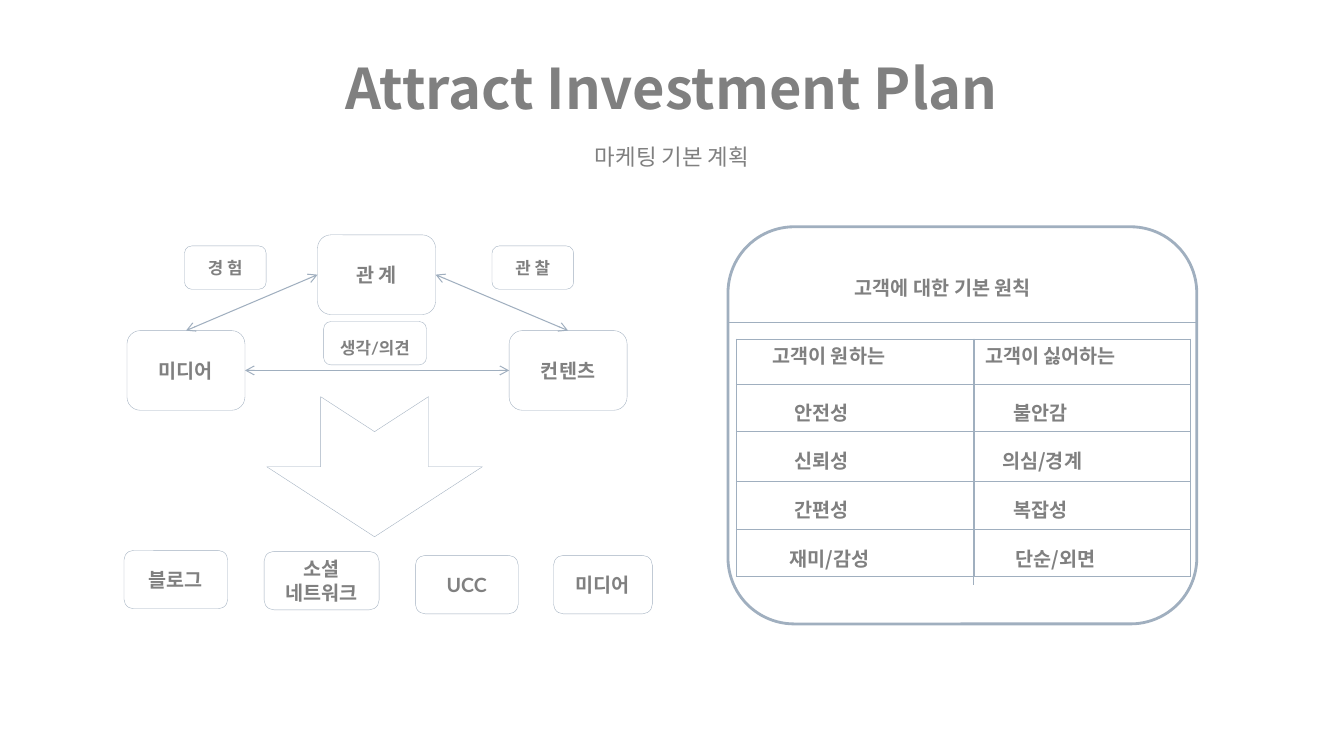
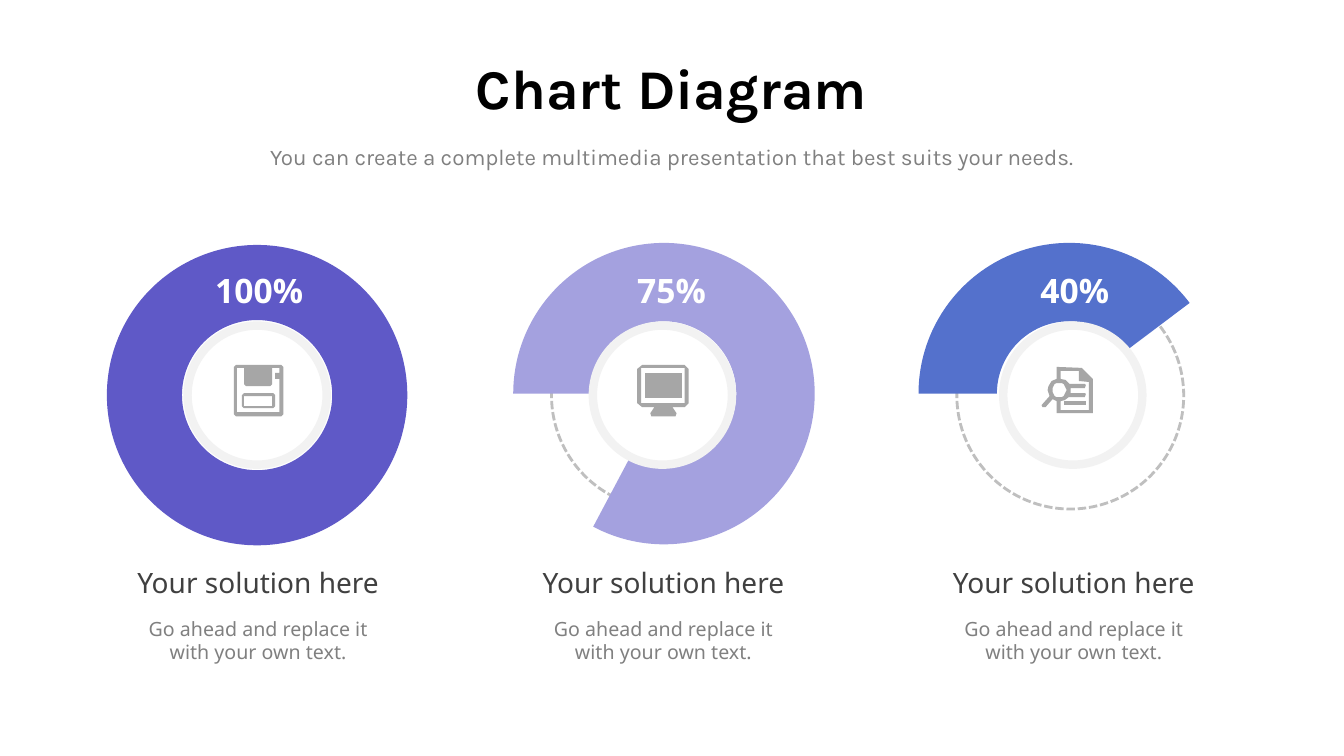
import dataclasses
import math
import typing

import lxml.etree
import pptx
import pptx.dml.color
import pptx.enum.dml
import pptx.enum.shapes
import pptx.enum.text
import pptx.oxml.ns
import pptx.util

PX = 9144  # EMU per px, 100 px to the inch
COLORS = {
    "text": "808080", "line": "A0AFBF", "title": "000000", "heading": "404040",
    "white": "FFFFFF", "rim": "F2F2F2", "dash": "BFBFBF", "icon": "A6A6A6",
    "violet": "5F59C7", "lilac": "A4A1DF", "blue": "5471CC",
}
KOREAN, LATO, KARLA, NOTO = "Noto Sans CJK KR", "Lato", "Karla", "Noto Sans"
SHAPE = pptx.enum.shapes.MSO_SHAPE
ALIGN = pptx.enum.text.PP_ALIGN
ANCHOR = pptx.enum.text.MSO_ANCHOR
TOP, LEFT, BOTTOM, RIGHT = range(4)
Points = list[tuple[float, float]]


@dataclasses.dataclass
class Style:
    size: int
    color: str = "text"
    name: str = KOREAN
    bold: bool = False
    align: typing.Any = ALIGN.CENTER
    anchor: typing.Any = ANCHOR.TOP
    spacing: float = 1.0


@dataclasses.dataclass
class Box:
    text: str
    x: int
    y: int
    w: int
    h: int
    size: int = 14
    spacing: float = 1.0


@dataclasses.dataclass
class Gauge:
    percent: str
    color: str
    ring_x: int
    hub_x: int
    percent_x: int
    caption_x: int
    end_angle: typing.Optional[int]
    icon: list[list[Points]]


def rgb(key: str):
    return pptx.dml.color.RGBColor.from_string(COLORS[key])


def px(*values: float) -> list[int]:
    return [round(v * PX) for v in values]


def child(parent, tag: str, **attrs: str):
    return lxml.etree.SubElement(parent, pptx.oxml.ns.qn(tag), **attrs)


def write(tf, text: str, st: Style) -> None:
    tf.word_wrap = True
    tf.vertical_anchor = st.anchor
    for i, line in enumerate(text.split("\n")):
        p = tf.add_paragraph() if i else tf.paragraphs[0]
        p.alignment, p.line_spacing = st.align, st.spacing
        r = p.add_run()
        r.text = line
        fmt = {"size": pptx.util.Pt(st.size), "name": st.name, "bold": st.bold}
        for key, value in fmt.items():
            setattr(r.font, key, value)
        r.font.color.rgb = rgb(st.color)
        child(r.font._element, "a:ea", typeface=KOREAN)


def add_text(s, text: str, x: int, y: int, w: int, h: int, st: Style) -> None:
    write(s.shapes.add_textbox(*px(x, y, w, h)).text_frame, text, st)


def paint(sp, fill: str = "", line: str = "", width: float = 0.25):
    """Give a shape its fill and outline; an empty colour means none."""
    sp.shadow.inherit = False
    if fill:
        sp.fill.solid()
        sp.fill.fore_color.rgb = rgb(fill)
    else:
        sp.fill.background()
    if line:
        sp.line.color.rgb = rgb(line)
        sp.line.width = pptx.util.Pt(width)
    else:
        sp.line.fill.background()
    return sp


def add_shape(s, kind, x: int, y: int, w: int, h: int, **look):
    return paint(s.shapes.add_shape(kind, *px(x, y, w, h)), **look)


def add_box(s, box: Box):
    sp = add_shape(s, SHAPE.ROUNDED_RECTANGLE, box.x, box.y, box.w, box.h, line="line")
    tf = sp.text_frame
    tf.margin_left = tf.margin_right = 0
    write(tf, box.text, Style(box.size, name=LATO, bold=True,
                              anchor=ANCHOR.MIDDLE, spacing=box.spacing))
    return sp


def add_line(s, x1: int = 0, y1: int = 0, x2: int = 0, y2: int = 0):
    kind = pptx.enum.shapes.MSO_CONNECTOR.STRAIGHT
    cx = s.shapes.add_connector(kind, *px(x1, y1, x2, y2))
    cx.line.color.rgb = rgb("line")
    cx.line.width = pptx.util.Pt(0.75)
    child(cx._element.spPr, "a:effectLst")
    return cx


def join(s, a, a_side: int, b, b_side: int) -> None:
    """Link two boxes with a double-headed arrow."""
    cx = add_line(s)
    cx.begin_connect(a, a_side)
    cx.end_connect(b, b_side)
    ln = cx.line._get_or_add_ln()
    child(ln, "a:headEnd", type="arrow")
    child(ln, "a:tailEnd", type="arrow")


def add_heading(s, title: str, subtitle: str, font: str, color: str) -> None:
    add_text(s, title, 88, 36, 1156, 100,
             Style(40, color, font, bold=True, anchor=ANCHOR.MIDDLE))
    add_text(s, subtitle, 88, 137, 1157, 41, Style(16, name=font))


MEDIA = Box("미디어", 126, 328, 117, 79)
RELATION = Box("관 계", 315, 233, 117, 79)
CONTENT = Box("컨텐츠", 505, 328, 117, 79)
LABELS = [
    Box("블로그", 123, 546, 103, 58),
    Box("소셜\n네트워크", 262, 547, 114, 58),
    Box("UCC", 412, 551, 102, 58),
    Box("미디어", 549, 551, 98, 58),
    Box("생각/의견", 321, 319, 102, 43, 12, 1.5),
    Box("경 험", 183, 244, 81, 43, 12),
    Box("관 찰", 488, 244, 81, 43, 12),
]
COLUMN_WIDTHS = [236, 214]
# row height, text offset from the row top, then (text, indent) per column
ROWS = [
    (45, 2, [("고객이 원하는", 36), ("고객이 싫어하는", 11)]),
    (47, 14, [("안전성", 58), ("불안감", 39)]),
    (49, 14, [("신뢰성", 58), ("의심/경계", 28)]),
    (48, 14, [("간편성", 58), ("복잡성", 39)]),
    (47, 14, [("재미/감성", 53), ("단순/외면", 41)]),
]


def add_principles(s) -> None:
    height = sum(row[0] for row in ROWS)
    frame = s.shapes.add_table(len(ROWS), len(COLUMN_WIDTHS),
                               *px(730, 336, sum(COLUMN_WIDTHS), height))
    table = frame.table
    table.first_row = table.horz_banding = False
    for column, width in zip(table.columns, COLUMN_WIDTHS):
        column.width = width * PX
    for i, (row_height, offset, entries) in enumerate(ROWS):
        table.rows[i].height = row_height * PX
        for j, (text, indent) in enumerate(entries):
            cell = table.cell(i, j)
            margins = {"left": indent, "top": offset, "right": 0, "bottom": 0}
            for side, margin in margins.items():
                setattr(cell, "margin_" + side, margin * PX)
            write(cell.text_frame, text, Style(14, bold=True, align=ALIGN.LEFT))
            tc_pr = cell._tc.get_or_add_tcPr()
            for edge in "LRTB":
                ln = child(tc_pr, "a:ln" + edge, w="3175")
                child(child(ln, "a:solidFill"), "a:srgbClr", val=COLORS["line"])
            cell.fill.background()


def build_plan(s) -> None:
    add_heading(s, "Attract Investment Plan", "마케팅 기본 계획", KOREAN, "text")
    add_shape(s, SHAPE.ROUNDED_RECTANGLE, 722, 225, 465, 394, line="line", width=2)
    add_text(s, "고객에 대한 기본 원칙", 838, 262, 285, 46,
             Style(14, bold=True, align=ALIGN.LEFT, anchor=ANCHOR.MIDDLE))
    add_principles(s)
    add_line(s, 722, 320, 1186, 320)
    add_line(s, 966, 336, 966, 580)

    media, relation, content = [add_box(s, b) for b in (MEDIA, RELATION, CONTENT)]
    join(s, media, RIGHT, content, LEFT)
    join(s, relation, RIGHT, content, TOP)
    join(s, media, TOP, relation, LEFT)
    arrow = add_shape(s, SHAPE.NOTCHED_RIGHT_ARROW, 302, 356, 139, 214, line="line")
    arrow.rotation = 90
    for box in LABELS:
        add_box(s, box)


def rect(x: int, y: int, w: int, h: int) -> Points:
    return [(x, y), (x + w, y), (x + w, y + h), (x, y + h)]


def chamfer(x: int, y: int, w: int, h: int, c: int) -> Points:
    """Outline of a rectangle with its corners cut by c."""
    r, b = x + w, y + h
    return [(x + c, y), (r - c, y), (r, y + c), (r, b - c),
            (r - c, b), (x + c, b), (x, b - c), (x, y + c)]


def circle(cx: float, cy: float, radius: float, steps: int = 20) -> Points:
    turns = [2 * math.pi * i / steps for i in range(steps)]
    return [(cx + radius * math.cos(t), cy + radius * math.sin(t)) for t in turns]


# Each icon is a list of freeforms, each freeform an outline followed by its holes
DISK = [
    [chamfer(232, 362, 49, 51, 2),
     [(277, 376), (277, 409), (235, 409), (235, 365), (242, 365), (242, 381),
      (244, 383), (268, 383), (270, 381), (270, 365), (277, 365), (277, 370),
      (273, 370), (273, 376)]],
    [chamfer(240, 390, 33, 15, 2), rect(242, 393, 28, 10)],
]
MONITOR = [
    [rect(640, 370, 36, 25)],
    [[(637, 404), (649, 404), (645, 410), (646, 413), (670, 413), (671, 410),
      (667, 404), (679, 404), (683, 400), (683, 366), (679, 362), (637, 362),
      (632, 366), (632, 400)],
     rect(636, 365, 43, 35)],
]
SEARCH = [
    [rect(1055, 398, 22, 4)],
    [[(1037, 404), (1044, 396), (1048, 398), (1048, 410), (1084, 410), (1084, 376),
      (1073, 365), (1048, 364), (1048, 376), (1043, 378), (1040, 383), (1039, 387),
      (1041, 393), (1033, 402), (1034, 404)],
     [(1052, 368), (1070, 368), (1070, 378), (1080, 379), (1080, 407), (1052, 407),
      (1052, 398), (1056, 397), (1060, 394), (1076, 394), (1077, 391), (1076, 390),
      (1062, 390), (1062, 385), (1076, 385), (1077, 382), (1076, 381), (1061, 381),
      (1057, 377), (1052, 376)],
     circle(1050.5, 387, 7)],
]
GAUGES = [
    Gauge("100%", "violet", 106, 186, 170, 87, None, DISK),
    Gauge("75%", "lilac", 509, 588, 579, 489, 118, MONITOR),
    Gauge("40%", "blue", 911, 995, 979, 896, 323, SEARCH),
]


def add_outline(s, contours: list[Points]) -> None:
    builder = s.shapes.build_freeform(*contours[0][0], scale=PX)
    for i, points in enumerate(contours):
        if i:
            builder.move_to(*points[0])
        builder.add_line_segments(points[1:], close=True)
    paint(builder.convert_to_shape(), fill="icon")


def add_gauge(s, g: Gauge) -> None:
    if g.end_angle is None:
        add_shape(s, SHAPE.DONUT, g.ring_x, 243, 298, 298, fill=g.color)
    else:
        track = add_shape(s, SHAPE.OVAL, g.ring_x + 38, 280, 225, 225,
                          line="dash", width=2)
        track.line.dash_style = pptx.enum.dml.MSO_LINE.SQUARE_DOT
        arc = add_shape(s, SHAPE.BLOCK_ARC, g.ring_x, 241, 299, 299, fill=g.color)
        # angles are stored in units of 5/3 degree
        for i, value in enumerate((180 * 0.6, g.end_angle * 0.6, 0.26)):
            arc.adjustments[i] = value
    add_shape(s, SHAPE.OVAL, g.hub_x, 323, 138, 138, fill="white", line="rim", width=6)
    add_text(s, g.percent, g.percent_x, 263, 174, 50, Style(24, "white", NOTO, bold=True))
    for contours in g.icon:
        add_outline(s, contours)
    add_text(s, "Your solution here", g.caption_x, 556, 338, 44,
             Style(20, "heading", NOTO))
    add_text(s, "Go ahead and replace it with your own text.",
             g.caption_x + 33, 607, 272, 57, Style(14, name=NOTO))


def build_chart(s) -> None:
    add_heading(s, "Chart Diagram", "You can create a complete multimedia presentation "
                "that best suits your needs.", KARLA, "title")
    for gauge in GAUGES:
        add_gauge(s, gauge)


def main() -> None:
    prs = pptx.Presentation()
    prs.slide_width, prs.slide_height = px(1333, 750)
    for build in (build_plan, build_chart):
        build(prs.slides.add_slide(prs.slide_layouts[6]))
    prs.save("out.pptx")


if __name__ == "__main__":
    main()
